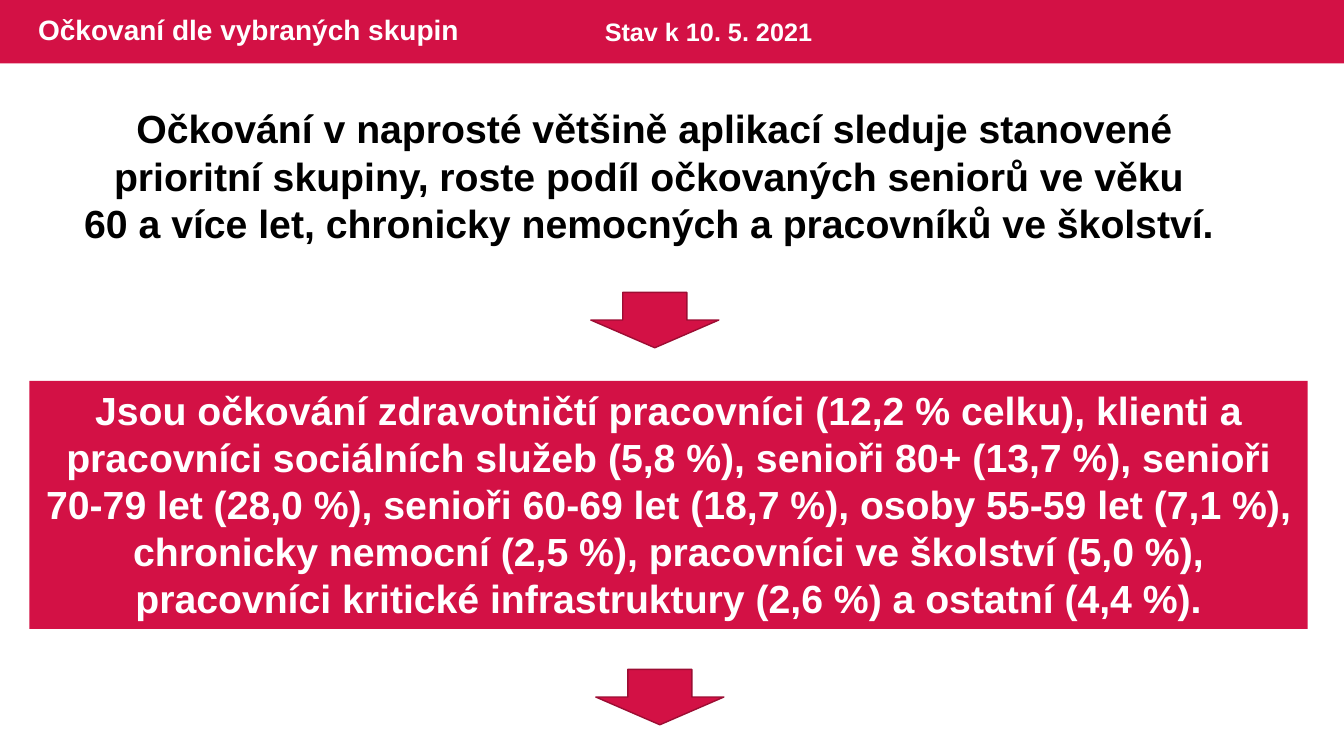
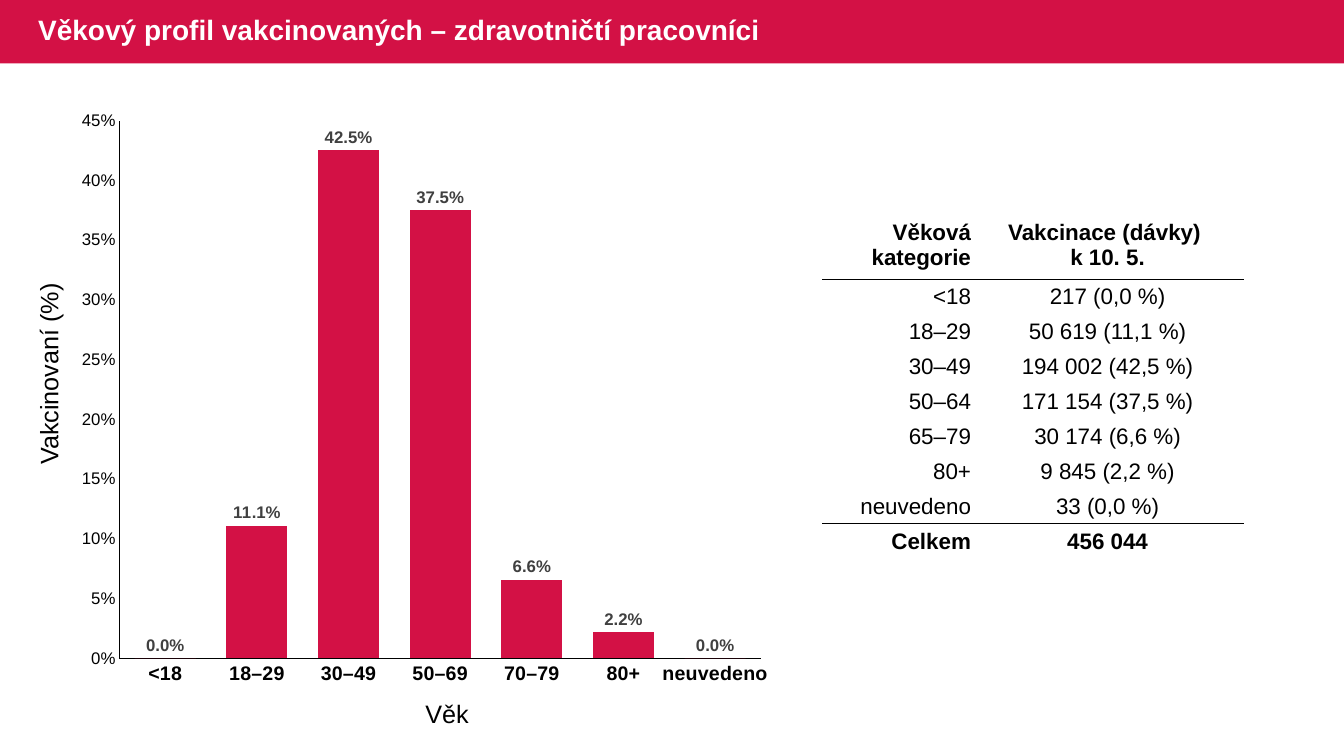
from dataclasses import dataclass

from lxml import etree
from pptx import Presentation
from pptx.chart.data import CategoryChartData
from pptx.dml.color import RGBColor
from pptx.enum.chart import XL_CHART_TYPE, XL_LABEL_POSITION, XL_TICK_MARK
from pptx.enum.shapes import MSO_SHAPE
from pptx.enum.text import MSO_ANCHOR, PP_ALIGN
from pptx.oxml import parse_xml
from pptx.oxml.ns import nsdecls, qn
from pptx.util import Inches, Pt

LEFT, CENTER, RIGHT = PP_ALIGN.LEFT, PP_ALIGN.CENTER, PP_ALIGN.RIGHT
TOP, MIDDLE = MSO_ANCHOR.TOP, MSO_ANCHOR.MIDDLE
RECTANGLE, DOWN_ARROW = MSO_SHAPE.RECTANGLE, MSO_SHAPE.DOWN_ARROW
COLUMNS = XL_CHART_TYPE.COLUMN_CLUSTERED
OUTSIDE_END = XL_LABEL_POSITION.OUTSIDE_END
NO_TICK = XL_TICK_MARK.NONE


@dataclass(frozen=True)
class Theme:
    font: str = "Arial"
    red: str = "D31145"
    dark_red: str = "9C0D33"
    black: str = "000000"
    white: str = "FFFFFF"
    gray: str = "404040"
    statement: int = 28
    title: int = 20
    note: int = 18
    table: int = 16
    category: int = 14
    value: int = 12
    page_width: float = 13.33
    page_height: float = 7.5
    band_height: float = 0.63


THEME = Theme()

STATEMENT = [
    "Očkování v naprosté většině aplikací sleduje stanovené prioritní skupiny, "
    "roste podíl očkovaných seniorů ve věku ",
    "60 a více let, chronicky nemocných a pracovníků ve školství. ",
]
GROUPS = [
    "Jsou očkování zdravotničtí pracovníci (12,2 % celku), klienti a pracovníci "
    "sociálních služeb (5,8 %), senioři 80+ (13,7 %), senioři 70-79 let (28,0 %), "
    "senioři 60-69 let (18,7 %), osoby 55-59 let (7,1 %), chronicky nemocní (2,5 %), "
    "pracovníci ve školství (5,0 %), pracovníci kritické infrastruktury (2,6 %) "
    "a ostatní (4,4 %).",
]
AGE_SHARES = {
    "<18": 0, "18–29": 0.111, "30–49": 0.425, "50–69": 0.375,
    "70–79": 0.066, "80+": 0.022, "neuvedeno": 0,
}
DOSES = [
    (["Věková kategorie"], ["Vakcinace (dávky) ", "k 10. 5."]),
    (["<18"], ["217 (0,0 %)"]),
    (["18–29"], ["50 619 (11,1 %)"]),
    (["30–49"], ["194 002 (42,5 %)"]),
    (["50–64"], ["171 154 (37,5 %)"]),
    (["65–79"], ["30 174 (6,6 %)"]),
    (["80+"], ["9 845 (2,2 %)"]),
    (["neuvedeno"], ["33 (0,0 %)"]),
    (["Celkem"], ["456 044"]),
]


# Text
def set_font(font, size, color=THEME.black, bold=False):
    font.name = THEME.font
    font.size = Pt(size)
    font.bold = bold
    font.color.rgb = RGBColor.from_string(color)


def write(frame, lines, size, color=THEME.black, bold=False, align=LEFT):
    for index, line in enumerate(lines):
        para = frame.paragraphs[0] if index == 0 else frame.add_paragraph()
        para.text = line
        para.alignment = align
        set_font(para.font, size, color, bold)


def add_text(page, place, lines, size, wrap=True, anchor=TOP, **style):
    box = page.shapes.add_textbox(*map(Inches, place))
    box.text_frame.word_wrap = wrap
    box.text_frame.vertical_anchor = anchor
    write(box.text_frame, lines, size, **style)
    return box


# Shapes
def add_shape(page, kind, place, outline=None):
    shape = page.shapes.add_shape(kind, *map(Inches, place))
    shape.shadow.inherit = False
    shape.fill.solid()
    shape.fill.fore_color.rgb = RGBColor.from_string(THEME.red)
    if outline:
        shape.line.color.rgb = RGBColor.from_string(outline)
        shape.line.width = Pt(1)
    else:
        shape.line.fill.background()
    return shape


def add_arrow(page, left, top):
    add_shape(page, DOWN_ARROW, (left, top, 1.27, 0.55), THEME.dark_red)


def add_page(deck, title):
    """A page with the red band and its title."""
    page = deck.slides.add_slide(deck.slide_layouts[6])
    add_shape(page, RECTANGLE, (0, 0, THEME.page_width, THEME.band_height))
    box = add_text(page, (0.28, 0, 8.13, THEME.band_height), [title], THEME.title,
                   anchor=MIDDLE, color=THEME.white, bold=True)
    box.text_frame.paragraphs[0].line_spacing = 0.9
    return page


# Chart
def style_axis(axis, size, bold=False):
    axis.has_major_gridlines = False
    axis.major_tick_mark = axis.minor_tick_mark = NO_TICK
    axis.format.line.color.rgb = RGBColor.from_string(THEME.black)
    axis.format.line.width = Pt(0.75)
    set_font(axis.tick_labels.font, size, bold=bold)


def fix_plot_area(chart, **fractions):
    plot_area = chart._chartSpace.chart.plotArea
    for old_layout in plot_area.findall(qn("c:layout")):
        plot_area.remove(old_layout)
    layout = parse_xml(f"<c:layout {nsdecls('c')}><c:manualLayout/></c:layout>")
    settings = {"layoutTarget": "inner", "xMode": "edge", "yMode": "edge", **fractions}
    for name, value in settings.items():
        etree.SubElement(layout[0], qn(f"c:{name}"), val=str(value))
    plot_area.insert(0, layout)


def add_age_chart(page, place, shares):
    data = CategoryChartData(number_format="0.0%")
    data.categories = list(shares)
    data.add_series("Series 1", list(shares.values()))
    chart = page.shapes.add_chart(COLUMNS, *map(Inches, place), data).chart
    chart.has_legend = chart.has_title = False
    set_font(chart.font, 10)
    fix_plot_area(chart, x=0.07, y=0.04, w=0.9, h=0.9)

    style_axis(chart.category_axis, THEME.category, bold=True)
    value_axis = chart.value_axis
    style_axis(value_axis, THEME.value)
    value_axis.minimum_scale, value_axis.maximum_scale = 0, 0.45
    value_axis.major_unit = 0.05
    value_axis.tick_labels.number_format = "0%"
    value_axis.tick_labels.number_format_is_linked = False

    plot = chart.plots[0]
    plot.gap_width, plot.overlap = 50, -27
    plot.vary_by_categories = False
    fill = plot.series[0].format.fill
    fill.solid()
    fill.fore_color.rgb = RGBColor.from_string(THEME.red)
    plot.has_data_labels = True
    labels = plot.data_labels
    labels.show_value = True
    labels.position = OUTSIDE_END
    labels.number_format = "0.0%"
    labels.number_format_is_linked = False
    set_font(labels.font, THEME.value, THEME.gray, bold=True)


# Table
def set_borders(cell, top, bottom):
    sides = {"L": THEME.white, "R": THEME.white, "T": top, "B": bottom}
    properties = cell._tc.get_or_add_tcPr()
    for side, color in sides.items():
        properties.append(parse_xml(
            f'<a:ln{side} {nsdecls("a")} w="12700"><a:solidFill>'
            f'<a:srgbClr val="{color}"/></a:solidFill></a:ln{side}>'))


def add_dose_table(page, place, rows, widths, header_height):
    frame = page.shapes.add_table(len(rows), len(widths), *map(Inches, place))
    table = frame.table
    table.first_row = table.horz_banding = False
    for column, width in zip(table.columns, widths):
        column.width = Inches(width)
    last = len(rows) - 1
    body_height = (place[3] - header_height) / last
    ruled = (0, last - 1)  # rows with a black line below
    for index, texts in enumerate(rows):
        table.rows[index].height = Inches(body_height if index else header_height)
        top = THEME.black if index - 1 in ruled else THEME.white
        bottom = THEME.black if index in ruled else THEME.white
        for column, (lines, align) in enumerate(zip(texts, (RIGHT, CENTER))):
            cell = table.cell(index, column)
            set_borders(cell, top, bottom)
            cell.fill.background()
            cell.vertical_anchor = MIDDLE
            cell.margin_left = cell.margin_right = cell.margin_top = Inches(0.01)
            cell.margin_bottom = 0
            write(cell.text_frame, lines, THEME.table,
                  bold=index in (0, last), align=align)


# Pages
def build_groups_page(deck):
    page = add_page(deck, "Očkovaní dle vybraných skupin")
    add_text(page, (5.9, 0.11, 2.96, 0.4), ["Stav k 10. 5. 2021"], THEME.note,
             color=THEME.white, bold=True)
    add_text(page, (0.7, 0.99, 11.58, 1.51), STATEMENT, THEME.statement,
             bold=True, align=CENTER)
    add_arrow(page, 5.86, 2.9)
    panel = add_shape(page, RECTANGLE, (0.29, 3.78, 12.68, 2.46))
    panel.text_frame.word_wrap = True
    panel.text_frame.vertical_anchor = TOP
    write(panel.text_frame, GROUPS, THEME.statement, THEME.white, True, CENTER)
    add_arrow(page, 5.91, 6.64)


def build_age_page(deck):
    page = add_page(deck, "Věkový profil vakcinovaných – zdravotničtí pracovníci")
    add_age_chart(page, (0.69, 0.96, 7.07, 5.93), AGE_SHARES)
    add_text(page, (4.12, 6.88, 0.64, 0.4), ["Věk"], THEME.note, wrap=False)
    axis_title = add_text(page, (-0.53, 3.5, 2.02, 0.4), ["Vakcinovaní (%)"],
                          THEME.note, wrap=False)
    axis_title.rotation = 270
    add_dose_table(page, (8.16, 2.09, 4.17, 3.45), DOSES, (1.48, 2.69), 0.68)


def main():
    deck = Presentation()
    deck.slide_width = Inches(THEME.page_width)
    deck.slide_height = Inches(THEME.page_height)
    build_groups_page(deck)
    build_age_page(deck)
    deck.save("out.pptx")


if __name__ == "__main__":
    main()
